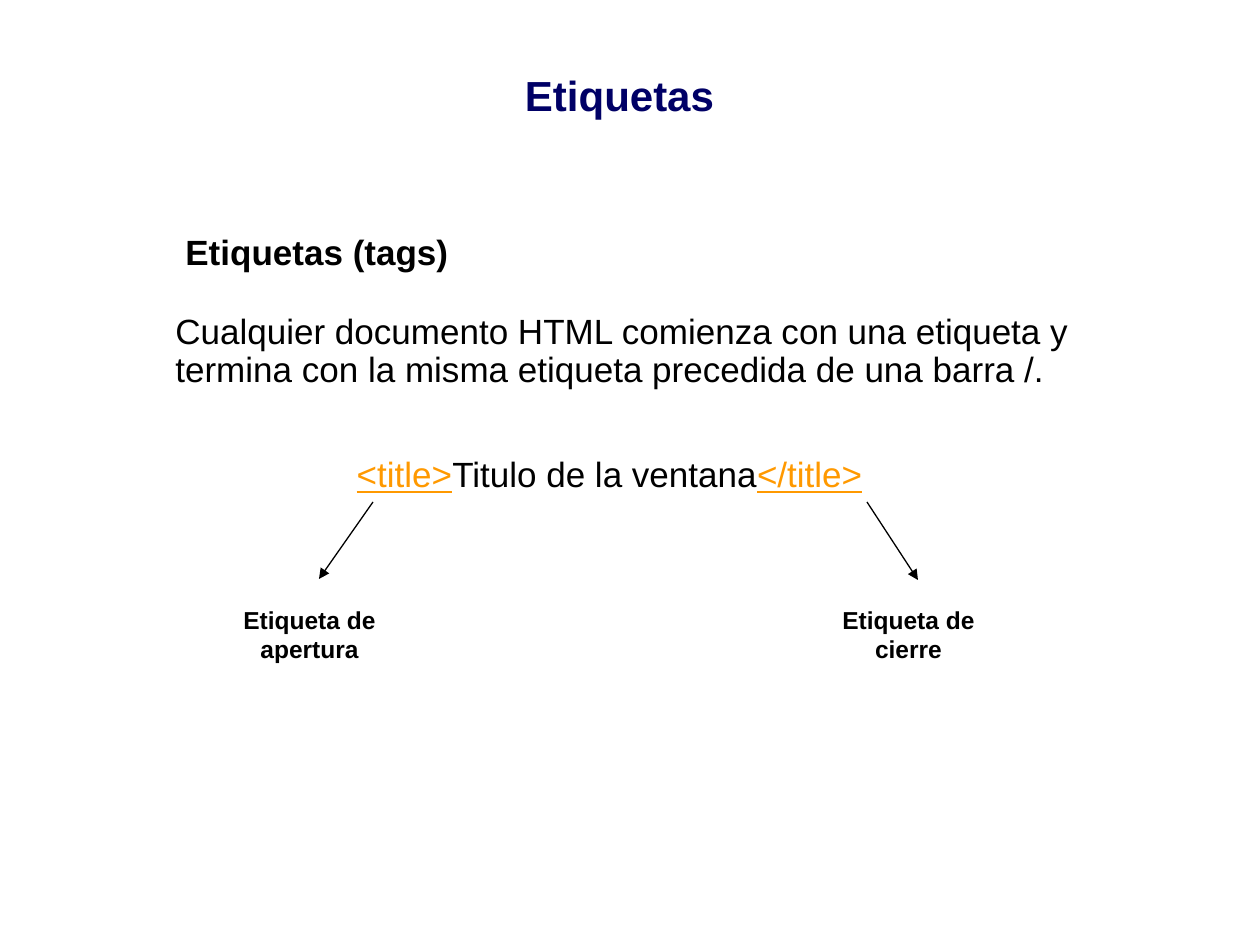
from lxml import etree
from pptx import Presentation
from pptx.dml.color import RGBColor
from pptx.enum.shapes import MSO_CONNECTOR
from pptx.enum.text import MSO_ANCHOR, PP_ALIGN
from pptx.oxml.ns import qn
from pptx.util import Emu, Pt

STRAIGHT = MSO_CONNECTOR.STRAIGHT
TOP, MIDDLE = MSO_ANCHOR.TOP, MSO_ANCHOR.MIDDLE
LEFT, CENTER = PP_ALIGN.LEFT, PP_ALIGN.CENTER
NAVY = RGBColor(0x00, 0x00, 0x66)
BLACK = RGBColor(0x00, 0x00, 0x00)
ORANGE = RGBColor(0xFF, 0x99, 0x00)
EMU_PER_PX = 914400 / 126


def px(length):
    return Emu(round(length * EMU_PER_PX))


def add_text(box, paragraphs, anchor=TOP, top_inset=6):
    """Add a text box; each paragraph is (paragraph format, indent px, runs)."""
    frame = slide.shapes.add_textbox(*map(px, box)).text_frame
    frame.word_wrap = True
    frame.vertical_anchor = anchor
    frame.margin_top = px(top_inset)
    for index, (layout, indent, runs) in enumerate(paragraphs):
        paragraph = frame.add_paragraph() if index else frame.paragraphs[0]
        for name, value in layout.items():
            setattr(paragraph, name, value)
        if indent:
            paragraph._p.get_or_add_pPr().set("marL", str(px(indent)))
        for text, color, style in runs:
            run = paragraph.add_run()
            run.text = text
            run.font.name = "Arial"
            run.font.color.rgb = color
            for name, value in style.items():
                setattr(run.font, name, value)


deck = Presentation()
deck.slide_width, deck.slide_height = px(1260), px(945)
slide = deck.slides.add_slide(deck.slide_layouts[6])

# Title
centered = {"alignment": CENTER}
add_text((189, 53, 861, 84),
         [(centered, 0, [("Etiquetas", NAVY, {"size": Pt(24), "bold": True})])],
         anchor=MIDDLE)

# Explanation and sample tag
body = {"size": Pt(20)}
heading = {"size": Pt(20), "bold": True}
tag = {"size": Pt(20), "underline": True}
rule = ("Cualquier documento HTML comienza con una etiqueta y termina "
        "con la misma etiqueta precedida de una barra /.")
add_text((116, 189, 987, 368), [
    ({"alignment": LEFT}, 57, [("Etiquetas (tags)", BLACK, heading)]),
    ({"alignment": LEFT, "line_spacing": 0.9, "space_before": Pt(23.5)}, 47,
     [(rule, BLACK, body)]),
    ({"alignment": CENTER, "space_before": Pt(36)}, 0,
     [("<title>", ORANGE, tag),
      ("Titulo de la ventana", BLACK, body),
      ("</title>", ORANGE, tag)]),
], top_inset=42)

# Arrows from each tag to its caption
callouts = [
    ("Etiqueta de apertura", 199, (373, 502, 319, 579)),
    ("Etiqueta de cierre", 798, (867, 502, 918, 580)),
]
for caption, left, ends in callouts:
    arrow = slide.shapes.add_connector(STRAIGHT, *map(px, ends))
    arrow.line.color.rgb = BLACK
    arrow.line.width = Pt(0.75)
    etree.SubElement(arrow.line._get_or_add_ln(), qn("a:tailEnd"), type="triangle")
    etree.SubElement(arrow._element.spPr, qn("a:effectLst"))
    add_text((left, 599, 221, 72),
             [(centered, 0, [(caption, BLACK, {"size": Pt(14), "bold": True})])])

deck.save("out.pptx")
